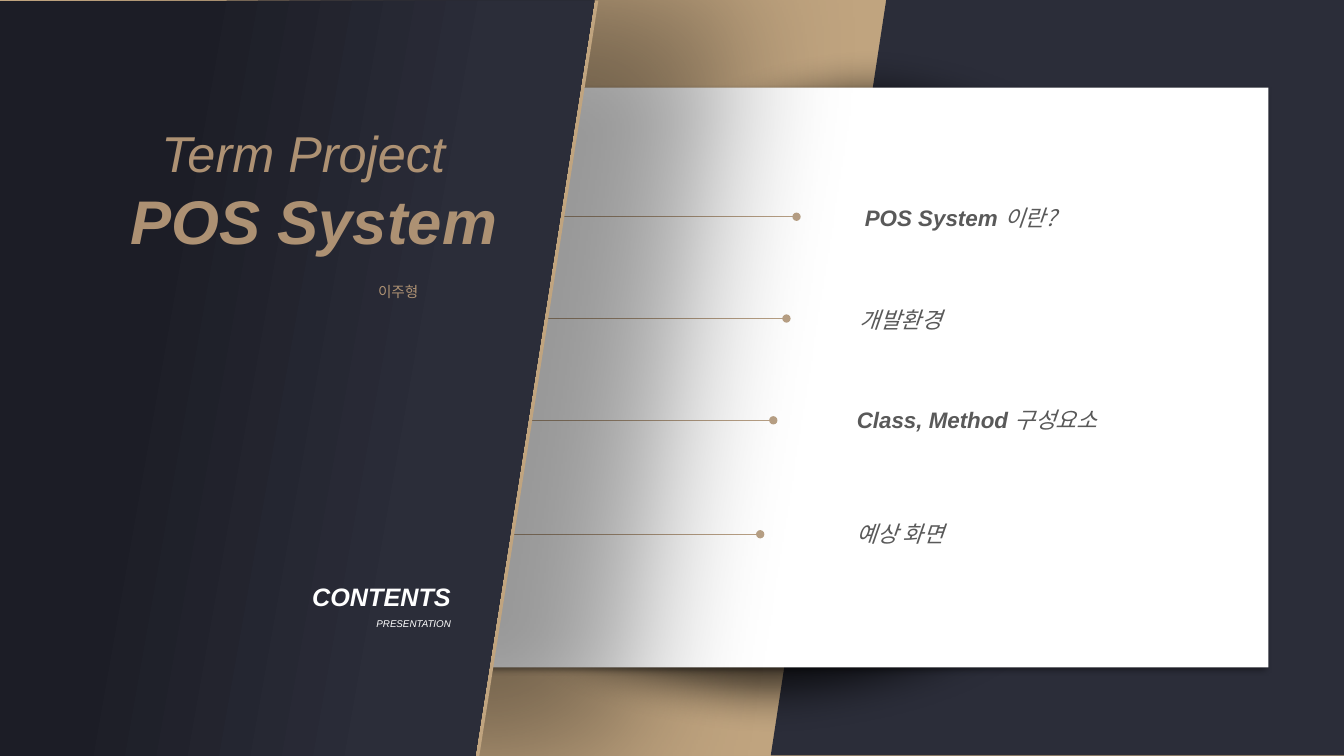
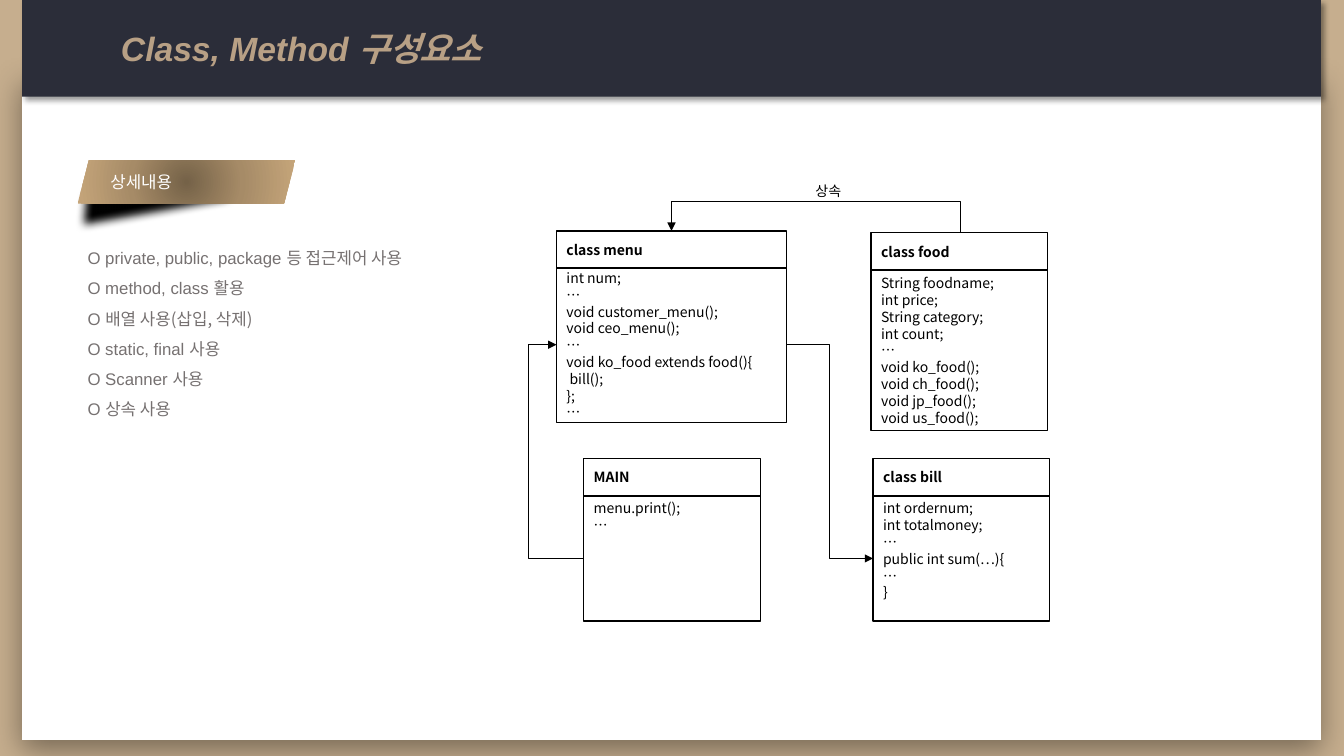
import dataclasses
import typing

import lxml.etree
import pptx
import pptx.dml.color
import pptx.enum.shapes
import pptx.enum.text
import pptx.oxml
import pptx.oxml.ns
import pptx.util

# Scale, colours and fonts
PX = 9144  # 100 px to the inch
SLIDE_W, SLIDE_H = 1333, 750
RGB = pptx.dml.color.RGBColor
TAN = RGB(0xC0, 0xA4, 0x7F)
SAND = RGB(0xC6, 0xAE, 0x8E)
GOLD = RGB(0xB8, 0xA0, 0x85)
BRONZE = RGB(0xAD, 0x91, 0x73)
NAVY = RGB(0x2B, 0x2D, 0x39)
INK = RGB(0x1C, 0x1D, 0x26)
WHITE = RGB(0xFF, 0xFF, 0xFF)
BLACK = RGB(0x00, 0x00, 0x00)
DARK_GREY = RGB(0x59, 0x59, 0x59)
GREY = RGB(0x76, 0x71, 0x71)
LATIN, KOREAN = "Arial", "Noto Sans CJK KR"

GEO = pptx.enum.shapes.MSO_SHAPE
LINK = pptx.enum.shapes.MSO_CONNECTOR
ANCHOR = pptx.enum.text.MSO_ANCHOR
ALIGN = pptx.enum.text.PP_ALIGN
Box = tuple[int, int, int, int]
A_NS = pptx.oxml.ns.nsdecls("a")


@dataclasses.dataclass
class Run:
    text: str
    fmt: dict[str, typing.Any]
    color: RGB
    font: str = LATIN


@dataclasses.dataclass
class Para:
    runs: list[Run]
    fmt: dict[str, typing.Any] = dataclasses.field(default_factory=dict)
    indent: int = 0


@dataclasses.dataclass
class Shadow:
    blur: int
    dist: int
    angle: int


@dataclasses.dataclass
class ContentItem:
    x: int
    y: int
    line_end: int
    line_y: int
    latin: str
    korean: str


@dataclasses.dataclass
class ClassBox:
    x: int
    y: int
    w: int
    body_h: int
    name: str
    lines: list[str]
    anchor: ANCHOR = ANCHOR.MIDDLE


def emu(px: int) -> int:
    return px * PX


def child(parent: typing.Any, tag: str, **attrs: typing.Any) -> typing.Any:
    node = lxml.etree.SubElement(parent, pptx.oxml.ns.qn(tag))
    for key, value in attrs.items():
        node.set(key, str(value))
    return node


def apply(target: typing.Any, fmt: dict[str, typing.Any]) -> None:
    for name, value in fmt.items():
        setattr(target, name, value)


def spaced(size: float, ratio: float = 1) -> dict[str, typing.Any]:
    """Line pitch that is the same for Latin and Korean text."""
    return {"line_spacing": pptx.util.Pt(size * 1.2 * ratio)}


def font(size: float, bold: bool = False, italic: bool = False) -> dict[str, typing.Any]:
    return {"size": pptx.util.Pt(size), "bold": bold, "italic": italic}


# Text
def write(sp: typing.Any, paras: list[Para], anchor: ANCHOR = ANCHOR.TOP,
          insets: tuple[int, int] = (10, 5)) -> None:
    tf = sp.text_frame
    side, top = map(emu, insets)
    apply(tf, {"word_wrap": True, "vertical_anchor": anchor, "margin_left": side,
               "margin_right": side, "margin_top": top, "margin_bottom": top})
    for i, para in enumerate(paras):
        p = tf.add_paragraph() if i else tf.paragraphs[0]
        apply(p, {"alignment": ALIGN.LEFT, **para.fmt})
        if para.indent:
            p._p.get_or_add_pPr().set("marL", str(emu(para.indent)))
        for run in para.runs:
            r = p.add_run()
            r.text = run.text
            apply(r.font, {**run.fmt, "name": run.font})
            r.font.color.rgb = run.color
            child(r._r.get_or_add_rPr(), "a:ea", typeface=run.font)


def add_text(shapes: typing.Any, box: Box, paras: list[Para], **kw: typing.Any) -> None:
    write(shapes.add_textbox(*map(emu, box)), paras, **kw)


def mixed(latin: str, korean: str, fmt: dict[str, typing.Any], color: RGB,
          korean_bold: bool = False) -> list[Run]:
    runs = [Run(latin, fmt, color)] if latin else []
    return runs + [Run(korean, {**fmt, "bold": korean_bold}, color, KOREAN)]


# Shapes
def add_shape(shapes: typing.Any, kind: GEO, box: Box, fill: RGB, line: float = 0,
              rotation: int = 0, flip: str = "", shadow: typing.Optional[Shadow] = None,
              alpha: int = 100, soft: int = 0) -> typing.Any:
    sp = shapes.add_shape(kind, *map(emu, box))
    sp.rotation = rotation
    if flip:
        sp._element.spPr.xfrm.set(flip, "1")
    sp.fill.solid()
    sp.fill.fore_color.rgb = fill
    if alpha < 100:
        color = sp._element.spPr.find(".//" + pptx.oxml.ns.qn("a:srgbClr"))
        child(color, "a:alpha", val=alpha * 1000)
    if line:
        sp.line.color.rgb = BLACK
        sp.line.width = pptx.util.Pt(line)
    else:
        sp.line.fill.background()
    sp.shadow.inherit = False
    effects = sp._element.spPr.find(pptx.oxml.ns.qn("a:effectLst"))
    if shadow:
        outer = child(effects, "a:outerShdw", blurRad=shadow.blur * 12700,
                      dist=shadow.dist * 12700, dir=shadow.angle * 60000, rotWithShape=0)
        child(child(outer, "a:srgbClr", val=BLACK), "a:alpha", val=40000)
    if soft:
        child(effects, "a:softEdge", rad=emu(soft))
    return sp


def set_gradient(sp: typing.Any, stops: list[tuple[int, RGB]],
                 angle: typing.Optional[int] = None) -> None:
    """Linear at the angle, or circular from the centre without one."""
    grad = pptx.oxml.parse_xml(f'<a:gradFill {A_NS} rotWithShape="1"/>')
    stop_list = child(grad, "a:gsLst")
    for pos, color in stops:
        child(child(stop_list, "a:gs", pos=pos * 1000), "a:srgbClr", val=color)
    if angle is None:
        half = dict.fromkeys("ltrb", 50000)
        child(child(grad, "a:path", path="circle"), "a:fillToRect", **half)
    else:
        child(grad, "a:lin", ang=angle * 60000, scaled=0)
    spPr = sp._element.spPr
    spPr.replace(spPr.find(pptx.oxml.ns.qn("a:solidFill")), grad)


def add_line(shapes: typing.Any, kind: LINK, ends: Box, color: RGB, head: str = "",
             tail: str = "", adj: float = 0, **xfrm: typing.Any) -> None:
    cx = shapes.add_connector(kind, *map(emu, ends))
    cx.line.color.rgb = color
    cx.line.width = pptx.util.Pt(0.5)
    spPr = cx._element.spPr
    ln = cx.line._get_or_add_ln()
    for tag, arrow in (("a:headEnd", head), ("a:tailEnd", tail)):
        if arrow:
            child(ln, tag, type=arrow)
    child(spPr, "a:effectLst")
    if adj:
        guides = spPr.find(pptx.oxml.ns.qn("a:prstGeom")).get_or_add_avLst()
        child(guides, "a:gd", name="adj1", fmla=f"val {round(adj * 100000)}")
    for key, value in xfrm.items():
        spPr.find(pptx.oxml.ns.qn("a:xfrm")).set(key, str(value))


def add_slide(prs: typing.Any, background: RGB) -> typing.Any:
    s = prs.slides.add_slide(prs.slide_layouts[6])
    s.background.fill.solid()
    s.background.fill.fore_color.rgb = background
    return s.shapes


# Slide 1: cover and contents
ITEMS = [
    ContentItem(848, 198, 790, 215, "POS System ", "이란?"),
    ContentItem(843, 299, 780, 316, "", "개발환경"),
    ContentItem(840, 398, 767, 417, "Class, Method ", "구성요소"),
    ContentItem(840, 511, 754, 530, "", "예상 화면"),
]


def build_contents(prs: typing.Any) -> None:
    shapes = add_slide(prs, TAN)
    slanted = GEO.FLOWCHART_MANUAL_INPUT
    add_shape(shapes, slanted, (676, 88, 750, 573), NAVY, rotation=90, flip="flipV")
    for box in ((475, 500, 577, 231), (619, 44, 483, 231)):
        add_shape(shapes, GEO.OVAL, box, BLACK, alpha=71, soft=44)
    add_shape(shapes, GEO.RECTANGLE, (127, 87, 1131, 575), WHITE, shadow=Shadow(4, 3, 135))

    for item in ITEMS:
        runs = mixed(item.latin, item.korean, font(16, True, True), DARK_GREY)
        add_text(shapes, (item.x, item.y, 350, 37), [Para(runs, spaced(16))])
        ends = (item.line_end - 453, item.line_y, item.line_end, item.line_y)
        add_line(shapes, LINK.STRAIGHT, ends, GOLD, head="oval", tail="oval")

    # Left panel with its tan edge
    add_shape(shapes, slanted, (-77, 80, 750, 591), TAN, rotation=90, flip="flipH",
              shadow=Shadow(100, 97, 0))
    panel = add_shape(shapes, slanted, (-81, 80, 750, 591), NAVY, rotation=90, flip="flipH")
    set_gradient(panel, [(27, INK), (70, NAVY)], 260)
    add_text(shapes, (62, 110, 499, 199), [
        Para([Run("Term Project", font(36, italic=True), BRONZE)], indent=98),
        Para([Run("POS System", font(44, True, True), BRONZE)], {"alignment": ALIGN.CENTER}),
        Para([Run("이주형", font(10.5), BRONZE, KOREAN)], spaced(10.5, 2.5), indent=313),
    ], anchor=ANCHOR.MIDDLE, insets=(0, 0))
    right = {"alignment": ALIGN.RIGHT, "line_spacing": 1.5}
    add_text(shapes, (164, 557, 293, 73), [
        Para([Run("CONTENTS", font(18, True, True), WHITE)], right),
        Para([Run("PRESENTATION", font(7, italic=True), WHITE)], right),
    ])


# Slide 2: class diagram
DETAILS = [
    ("O private, public, package ", "등 접근제어 사용"),
    ("O method, class ", "활용"),
    ("O ", "배열 사용(삽입, 삭제)"),
    ("O static, final ", "사용"),
    ("O Scanner ", "사용"),
    ("O ", "상속 사용"),
]
HEADER_H = 37
CLASSES = [
    ClassBox(579, 455, 175, 124, "MAIN", ["menu.print();", "…"], ANCHOR.TOP),
    ClassBox(552, 229, 228, 153, "class menu", [
        "int num;", "…", "void customer_menu();", "void ceo_menu();", "…",
        "void ko_food extends food(){", " bill();", "};", "…"]),
    ClassBox(864, 231, 175, 159, "class food", [
        "String foodname;", "int price;", "String category;", "int count;", "…",
        "void ko_food();", "void ch_food();", "void jp_food();", "void us_food();"]),
    ClassBox(866, 455, 175, 124, "class bill", [
        "int ordernum;", "int totalmoney;", "…", "public int sum(…){", "…", "}"], ANCHOR.TOP),
]


def add_class(shapes: typing.Any, c: ClassBox) -> None:
    group = shapes.add_group_shape().shapes
    parts = [
        (c.y + HEADER_H, c.body_h, c.lines, False, c.anchor),
        (c.y, HEADER_H, [c.name], True, ANCHOR.MIDDLE),
    ]
    for y, h, lines, bold, anchor in parts:
        sp = add_shape(group, GEO.RECTANGLE, (c.x, y, c.w, h), WHITE, line=1)
        paras = [Para([Run(t, font(10, bold), BLACK, KOREAN)], spaced(10)) for t in lines]
        write(sp, paras, anchor=anchor, insets=(10, 4))


def build_diagram(prs: typing.Any) -> None:
    shapes = add_slide(prs, SAND)
    add_shape(shapes, GEO.RECTANGLE, (22, 74, 1288, 660), WHITE, shadow=Shadow(22, 8, 90))
    add_shape(shapes, GEO.RECTANGLE, (22, 0, 1288, 96), NAVY, shadow=Shadow(4, 3, 45))
    title = mixed("Class, Method ", "구성요소", font(24, True, True), GOLD, korean_bold=True)
    add_text(shapes, (120, 0, 605, 96), [Para(title, spaced(24))],
             anchor=ANCHOR.MIDDLE, insets=(0, 0))

    # Section label and details
    label = shapes.add_group_shape().shapes
    shade = add_shape(label, GEO.PARALLELOGRAM, (68, 173, 175, 47), BLACK, rotation=350, soft=9)
    tag = add_shape(label, GEO.PARALLELOGRAM, (77, 159, 216, 43), TAN)
    for sp in (shade, tag):
        sp.adjustments[0] = 0.26
    set_gradient(tag, [(0, RGB(0x75, 0x62, 0x48)), (50, RGB(0xA6, 0x8B, 0x67)),
                       (100, RGB(0xC5, 0xA5, 0x7A))])
    write(tag, [Para([Run("상세내용", font(12), WHITE, KOREAN)])], anchor=ANCHOR.MIDDLE)
    add_text(shapes, (77, 231, 359, 192), [
        Para(mixed(latin, korean, font(12), GREY), spaced(12, 1.5)) for latin, korean in DETAILS])

    # Classes and their links
    for c in CLASSES:
        add_class(shapes, c)
    add_line(shapes, LINK.ELBOW, (579, 554, 552, 342), BLACK, tail="triangle", adj=2.04)
    add_line(shapes, LINK.ELBOW, (780, 342, 866, 554), BLACK, tail="triangle", adj=0.5)
    add_line(shapes, LINK.ELBOW, (808, 87, 810, 373), BLACK, tail="triangle", adj=15.5,
             rot=270 * 60000, flipV=1)
    add_text(shapes, (799, 176, 70, 27),
             [Para([Run("상속", font(10), BLACK, KOREAN)], spaced(10))])


def main() -> None:
    prs = pptx.Presentation()
    prs.slide_width, prs.slide_height = emu(SLIDE_W), emu(SLIDE_H)
    build_contents(prs)
    build_diagram(prs)
    prs.save("out.pptx")


if __name__ == "__main__":
    main()
